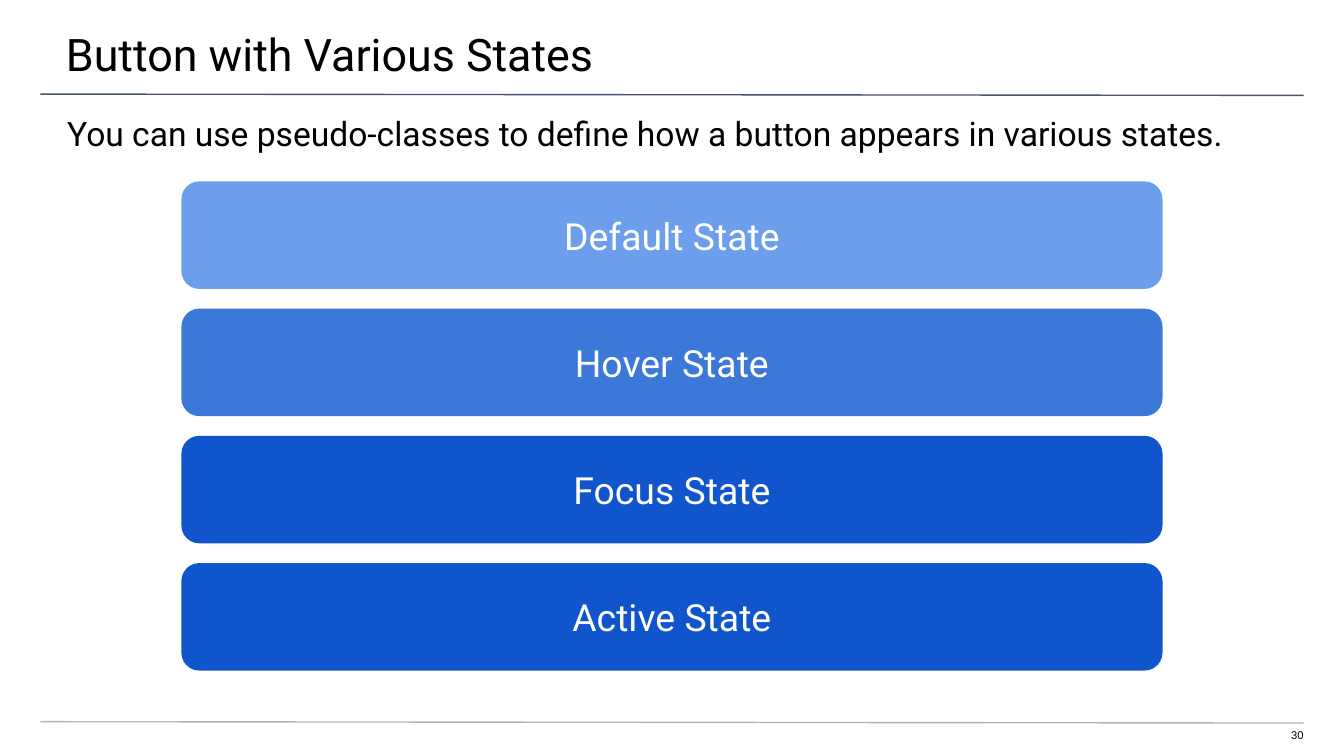
from dataclasses import dataclass

from lxml.etree import SubElement
from pptx import Presentation
from pptx.dml.color import RGBColor as RGB
from pptx.enum.shapes import MSO_CONNECTOR as Connector, MSO_SHAPE as Shape
from pptx.enum.text import MSO_ANCHOR as Anchor, MSO_AUTO_SIZE as AutoSize, PP_ALIGN as Align
from pptx.oxml.ns import qn
from pptx.util import Inches, Pt


@dataclass(frozen=True)
class Theme:
    font: str = "Roboto"
    number_font: str = "Arial"
    title_size: int = 24
    body_size: int = 18
    button_size: int = 20
    number_size: int = 6
    text: str = "000000"
    button_text: str = "FFFFFF"
    header_rule: str = "44546A"
    footer_rule: str = "A9B7C0"
    default_state: str = "6D9EEB"
    hover_state: str = "3C78D8"
    pressed_state: str = "1155CC"


def write_text(shape, text, *, font, size, color, insets,
               align=Align.LEFT, anchor=Anchor.TOP):
    """Fill a shape with one paragraph; insets are left, top, right, bottom in inches."""
    frame = shape.text_frame
    frame.word_wrap = True
    frame.auto_size = AutoSize.NONE
    frame.vertical_anchor = anchor
    (frame.margin_left, frame.margin_top,
     frame.margin_right, frame.margin_bottom) = map(Inches, insets)
    paragraph = frame.paragraphs[0]
    paragraph.alignment = align
    run = paragraph.add_run()
    run.text = text
    run.font.name = font
    run.font.size = Pt(size)
    run.font.color.rgb = RGB.from_string(color)


class SlideBuilder:
    def __init__(self, slide, theme):
        self.slide = slide
        self.theme = theme

    def title(self, text, left, top, width, height):
        title = self.slide.shapes.title
        title.left, title.top = Inches(left), Inches(top)
        title.width, title.height = Inches(width), Inches(height)
        write_text(title, text, font=self.theme.font, size=self.theme.title_size,
                   color=self.theme.text, insets=(0.5, 0.2, 0.3, 0.1))

    def text_box(self, text, left, top, width, height, **text_format):
        box = self.slide.shapes.add_textbox(
            Inches(left), Inches(top), Inches(width), Inches(height))
        write_text(box, text, color=self.theme.text, **text_format)

    def rule(self, top, color):
        """Draw a margin-to-margin line that drops slightly to the right."""
        line = self.slide.shapes.add_connector(
            Connector.STRAIGHT, Inches(0.3), Inches(top), Inches(9.7), Inches(top + 0.01))
        line.line.color.rgb = RGB.from_string(color)
        line.line.width = Pt(0.75)
        SubElement(line._element.spPr, qn("a:effectLst"))

    def button(self, text, fill, left, top, width, height):
        button = self.slide.shapes.add_shape(
            Shape.ROUNDED_RECTANGLE, Inches(left), Inches(top), Inches(width), Inches(height))
        button.shadow.inherit = False
        button.fill.solid()
        button.fill.fore_color.rgb = RGB.from_string(fill)
        button.line.fill.background()
        write_text(button, text, font=self.theme.font, size=self.theme.button_size,
                   color=self.theme.button_text, insets=(0.1, 0.1, 0.1, 0.1),
                   align=Align.CENTER, anchor=Anchor.MIDDLE)


def main():
    theme = Theme()
    deck = Presentation()
    deck.slide_width = Inches(10)
    deck.slide_height = deck.slide_width * 9 // 16
    title_only = deck.slide_layouts[5]
    builder = SlideBuilder(deck.slides.add_slide(title_only), theme)

    builder.rule(0.7, theme.header_rule)
    builder.rule(5.37, theme.footer_rule)
    builder.title("Button with Various States", -0.01, 0, 10.03, 0.58)
    builder.text_box(
        "You can use pseudo-classes to define how a button appears in various states.",
        0, 0.74, 10, 0.4, font=theme.font, size=theme.body_size, insets=(0.5, 0.1, 0.5, 0))

    states = {
        "Default": theme.default_state,
        "Hover": theme.hover_state,
        "Focus": theme.pressed_state,
        "Active": theme.pressed_state,
    }
    first_top, last_top = 1.35, 4.19
    pitch = (last_top - first_top) / (len(states) - 1)
    for row, (state, fill) in enumerate(states.items()):
        builder.button(f"{state} State", fill, 1.35, first_top + row * pitch, 7.3, 0.8)

    builder.text_box("30", 9.41, 5.42, 0.29, 0.12, font=theme.number_font,
                     size=theme.number_size, insets=(0, 0, 0, 0.1), align=Align.RIGHT)
    deck.save("out.pptx")


if __name__ == "__main__":
    main()
